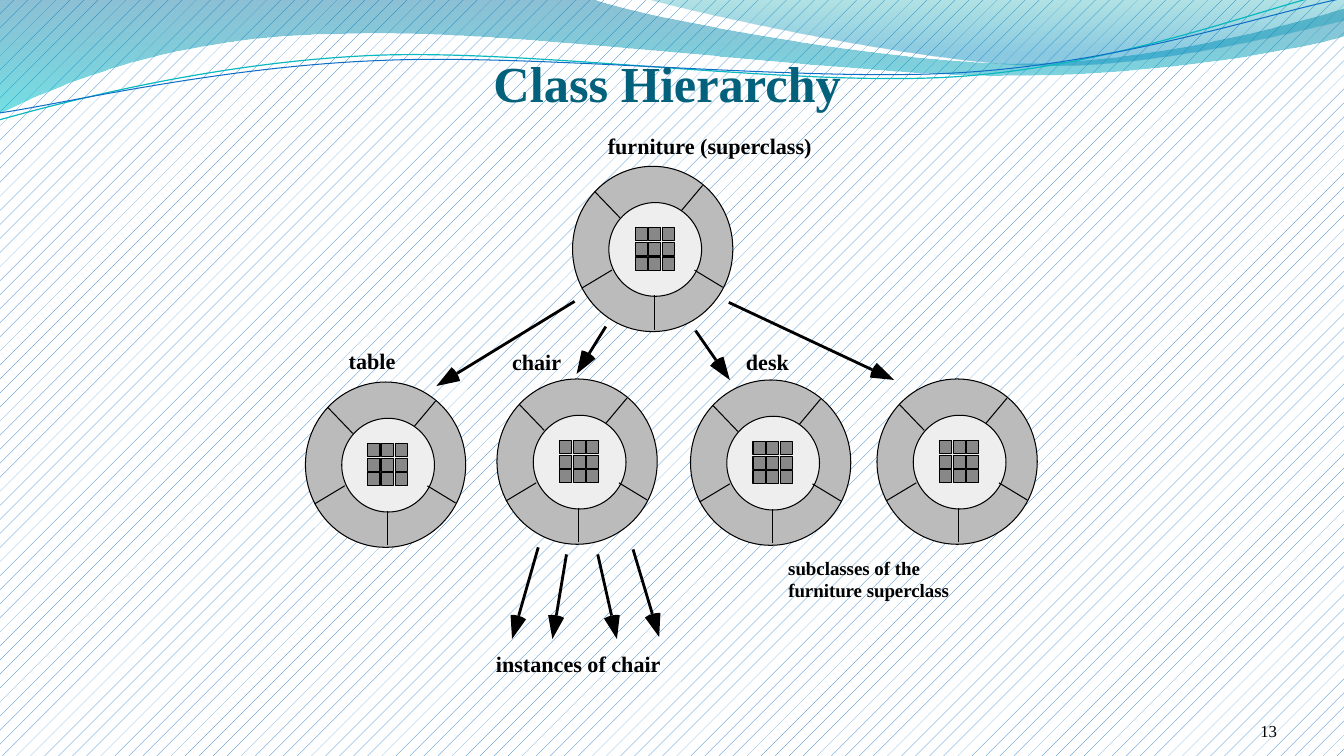
"""Build the Class Hierarchy slide: a superclass wheel, four subclass wheels and instances."""
import math

import pptx
import pptx.dml.color
import pptx.enum.dml
import pptx.enum.shapes
import pptx.enum.text
import pptx.oxml
import pptx.oxml.ns
import pptx.util
from pptx.util import Inches, Pt

THEME = {
    "font": "Times New Roman", "ink": "000000", "title": "04617B",
    "back": "FFFFFF", "hatch": "0F6FC6",
    "ring": "BBBBBB", "core": "EEEEEE", "cell": "888888",
    "title_size": 36, "label_size": 15.8, "note_size": 13.5, "number_size": 12,
    "thin": 0.75, "thick": 2,
}
SLIDE = (13.333, 7.5)
TITLE = ("Class Hierarchy", (4.8, 0.48, 3.64, 0.67))
NUMBER = ("13", (11.56, 6.95, 1.11, 0.4))

LABELS = [
    ("chair", 5.08, 3.49, 0.49, "label_size"),
    ("table", 3.46, 3.48, 0.47, "label_size"),
    ("desk", 7.4, 3.49, 0.43, "label_size"),
    ("instances of chair", 4.92, 6.48, 1.65, "label_size"),
    ("furniture (superclass)", 6.03, 1.34, 2.04, "label_size"),
    ("subclasses of the", 7.82, 5.55, 1.33, "note_size"),
    ("furniture superclass", 7.82, 5.77, 1.62, "note_size"),
]

WHEELS = [(5.68, 1.65), (3.03, 3.79), (4.93, 3.76), (6.85, 3.77), (8.7, 3.76)]
RING = (0, 0, 1.59, 1.64)
CORE = (0.36, 0.36, 0.92, 0.93)
CELL_START, CELL_STEP, CELL_SIZE = (0.62, 0.61), (0.135, 0.145), (0.12, 0.13)
SPOKES = [
    (0.22, 0.25, 0.47, 0.51), (1.29, 0.19, 1.08, 0.44), (1.49, 1.2, 1.21, 1.03),
    (0.81, 1.62, 0.81, 1.28), (0.09, 1.21, 0.39, 1.03),
]

ARROWS = [
    ((6.01, 3.24), (5.72, 3.71)), ((6.9, 3.28), (7.24, 3.77)),
    ((5.34, 5.43), (5.08, 6.34)), ((5.62, 5.5), (5.48, 6.34)),
    ((5.93, 5.5), (6.12, 6.34)), ((6.28, 5.45), (6.54, 6.32)),
    ((5.7, 2.99), (4.33, 3.83)), ((7.23, 3), (8.87, 3.77)),
]
HEAD_LENGTH, HEAD_HALF_ANGLE = 0.24, math.radians(19.5)

BANDS = [
    ([(0, "0074A1", 45), (100, "00C6CF", 55)],
     [(0, -0.01), (5.87, -0.01), (6.34, 0.17, 8.85, 0.63, 10.11, 0.63),
      (11.38, 0.63, 12.78, 0.26, 13.33, 0.09), (13.35, 0.36),
      (13.11, 0.44, 11.6, 0.76, 9.94, 0.75), (8.29, 0.75, 5.09, 0.28, 3.43, 0.34),
      (1.72, 0.35, 0.61, 0.83, -0.01, 1.13)]),
    ([(0, "00A1A9", 30), (80, "008BBF", 45)],
     [(6.39, -0.01), (6.79, 0.11, 9.09, 0.62, 10.25, 0.65),
      (11.41, 0.69, 12.82, 0.32, 13.33, 0.21), (13.33, 0)]),
]
WAVES = [
    ("0AB8BF", 0.85,
     [(-0.01, 1.19), (0.64, 1.01, 2.11, 0.62, 3.69, 0.55),
      (5.27, 0.48, 7.9, 0.87, 9.5, 0.76), (11.1, 0.65, 12.52, 0.08, 13.31, -0.1)]),
    ("0F6FC6", 0.75,
     [(0, 1.12), (0.63, 1.03, 2.18, 0.66, 3.78, 0.6),
      (5.37, 0.53, 7.96, 0.82, 9.55, 0.72), (11.15, 0.62, 12.55, 0.14, 13.34, -0.02)]),
]


def rgb(value):
    return pptx.dml.color.RGBColor.from_string(value)


def add_outline(shapes, steps, close=True):
    """Draw steps of two numbers as straight lines and steps of six as Bezier curves."""
    ends = [tuple(map(Inches, step[-2:])) for step in steps]
    builder = shapes.build_freeform(*ends[0], scale=1)
    builder.add_line_segments(ends[1:], close=close)
    sp = builder.convert_to_shape()
    sp.shadow.inherit = False
    lines = list(sp.element.iter(pptx.oxml.ns.qn("a:lnTo")))
    for line, step in zip(lines, steps[1:]):
        if len(step) == 6:
            points = "".join(
                f'<a:pt x="{Inches(step[i]) - sp.left}" y="{Inches(step[i + 1]) - sp.top}"/>'
                for i in (0, 2, 4))
            line.getparent().replace(line, pptx.oxml.parse_xml(
                f'<a:cubicBezTo {pptx.oxml.ns.nsdecls("a")}>{points}</a:cubicBezTo>'))
    return sp


def fill_gradient(sp, stops):
    gs = "".join(
        f'<a:gs pos="{pos * 1000}"><a:srgbClr val="{color}">'
        f'<a:alpha val="{alpha * 1000}"/></a:srgbClr></a:gs>' for pos, color, alpha in stops)
    fill = pptx.oxml.parse_xml(
        f'<a:gradFill {pptx.oxml.ns.nsdecls("a")}><a:gsLst>{gs}</a:gsLst>'
        '<a:lin ang="5400000" scaled="0"/></a:gradFill>')
    geometry = sp.element.spPr.find(pptx.oxml.ns.qn("a:custGeom"))
    geometry.addnext(fill)
    sp.line.fill.background()


def add_part(shapes, kind, box, color):
    sp = shapes.add_shape(kind, *map(Inches, box))
    sp.shadow.inherit = False
    sp.fill.solid()
    sp.fill.fore_color.rgb = rgb(THEME[color])
    sp.line.color.rgb = rgb(THEME["ink"])
    sp.line.width = Pt(THEME["thin"])


def add_line(shapes, start, end, weight):
    line = shapes.add_connector(
        pptx.enum.shapes.MSO_CONNECTOR.STRAIGHT, *map(Inches, (*start, *end)))
    line.line.color.rgb = rgb(THEME["ink"])
    line.line.width = Pt(THEME[weight])
    line._element.spPr.append(
        pptx.oxml.parse_xml(f'<a:effectLst {pptx.oxml.ns.nsdecls("a")}/>'))


def add_wheel(s, x, y):
    shapes = s.shapes.add_group_shape().shapes
    kinds = pptx.enum.shapes.MSO_SHAPE
    for (dx, dy, w, h), color in ((RING, "ring"), (CORE, "core")):
        add_part(shapes, kinds.OVAL, (x + dx, y + dy, w, h), color)
    for i in range(9):
        row, col = divmod(i, 3)
        left = x + CELL_START[0] + col * CELL_STEP[0]
        top = y + CELL_START[1] + row * CELL_STEP[1]
        add_part(shapes, kinds.RECTANGLE, (left, top, *CELL_SIZE), "cell")
    for x1, y1, x2, y2 in SPOKES:
        add_line(shapes, (x + x1, y + y1), (x + x2, y + y2), "thin")


def add_arrow(s, start, tip):
    aim = math.atan2(start[1] - tip[1], start[0] - tip[0])

    def around(turn, stretch=1):
        reach = HEAD_LENGTH * stretch
        return tip[0] + reach * math.cos(aim + turn), tip[1] + reach * math.sin(aim + turn)

    pull = 4 / 3 * math.tan(HEAD_HALF_ANGLE / 2)
    bend, stretch = HEAD_HALF_ANGLE - math.atan(pull), math.hypot(1, pull)
    arc = (*around(-bend, stretch), *around(bend, stretch), *around(HEAD_HALF_ANGLE))
    head = add_outline(s.shapes, [around(-HEAD_HALF_ANGLE), arc, tip])
    head.fill.solid()
    head.fill.fore_color.rgb = rgb(THEME["ink"])
    head.line.fill.background()
    add_line(s.shapes, start, around(0), "thick")


def set_text(sp, text, size, color="ink", bold=True, margins=(0, 0), wrap=False):
    tf = sp.text_frame
    tf.text = text
    tf.word_wrap = wrap
    tf.margin_left = tf.margin_right = Inches(margins[0])
    tf.margin_top = tf.margin_bottom = Inches(margins[1])
    p = tf.paragraphs[0]
    font = p.runs[0].font
    font.name, font.size, font.bold = THEME["font"], Pt(THEME[size]), bold
    font.color.rgb = rgb(THEME[color])
    return tf, p


def main():
    prs = pptx.Presentation()
    prs.slide_width, prs.slide_height = map(Inches, SLIDE)
    s = prs.slides.add_slide(prs.slide_layouts[5])
    fill = s.background.fill
    fill.patterned()
    fill.pattern = pptx.enum.dml.MSO_PATTERN.PERCENT_5
    fill.fore_color.rgb, fill.back_color.rgb = rgb(THEME["hatch"]), rgb(THEME["back"])

    for stops, steps in BANDS:
        fill_gradient(add_outline(s.shapes, steps), stops)
    for color, weight, steps in WAVES:
        sp = add_outline(s.shapes, steps, close=False)
        sp.fill.background()
        sp.line.color.rgb, sp.line.width = rgb(color), Pt(weight)

    align, anchor = pptx.enum.text.PP_ALIGN, pptx.enum.text.MSO_ANCHOR
    sp = s.shapes.add_textbox(*map(Inches, NUMBER[1]))
    tf, p = set_text(sp, NUMBER[0], "number_size", bold=False, wrap=True)
    tf.vertical_anchor, p.alignment = anchor.BOTTOM, align.RIGHT

    title = s.shapes.title
    title.left, title.top, title.width, title.height = map(Inches, TITLE[1])
    tf, p = set_text(title, TITLE[0], "title_size", "title", margins=(0.08, 0.03))
    tf.vertical_anchor, p.alignment = anchor.MIDDLE, align.CENTER
    s.shapes._spTree.append(title.element)

    for x, y in WHEELS:
        add_wheel(s, x, y)
    for start, tip in ARROWS:
        add_arrow(s, start, tip)
    for text, x, y, w, size in LABELS:
        height = THEME[size] * 1.08 / 72
        sp = s.shapes.add_textbox(*map(Inches, (x, y, w, height)))
        tf, p = set_text(sp, text, size)
        p.line_spacing = 0.9
    prs.save("out.pptx")


if __name__ == "__main__":
    main()
